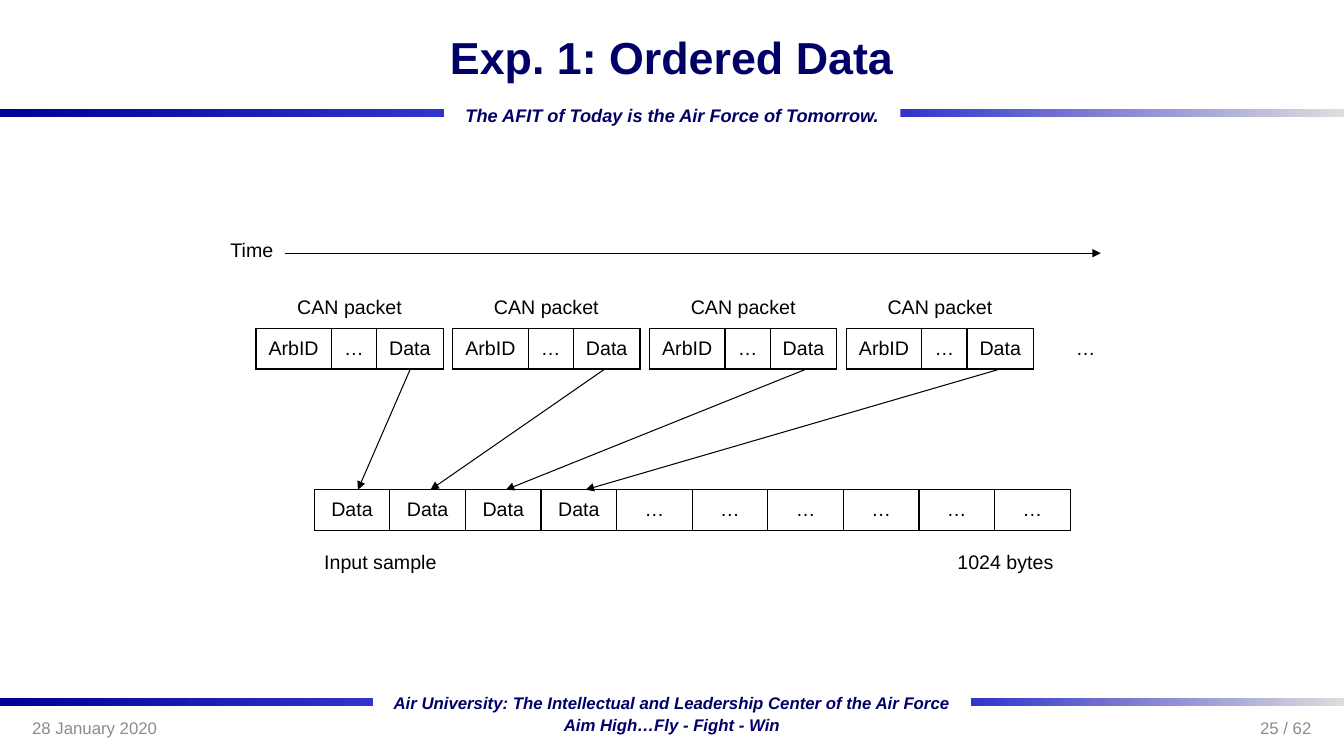
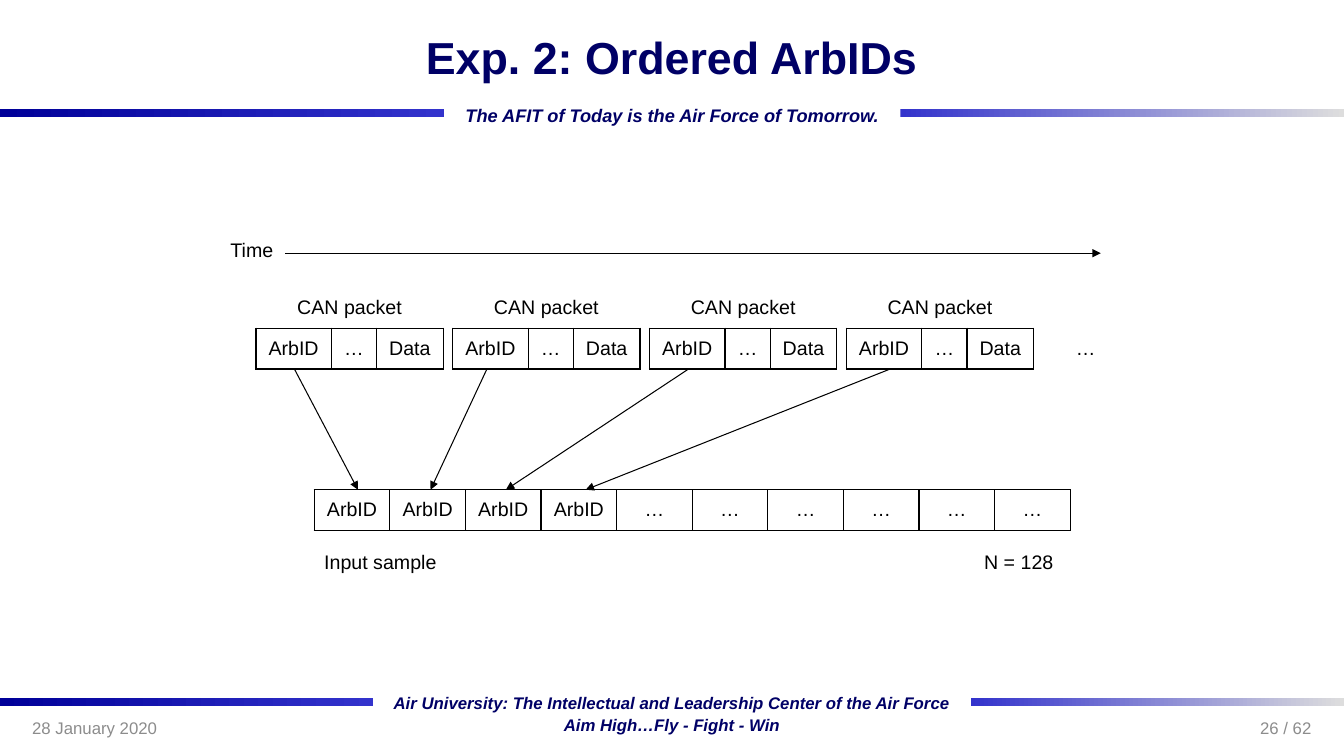
from lxml import etree
from pptx import Presentation
from pptx.dml.color import RGBColor
from pptx.enum.shapes import MSO_CONNECTOR, MSO_SHAPE
from pptx.enum.text import MSO_ANCHOR, PP_ALIGN
from pptx.oxml.ns import qn
from pptx.util import Cm, Pt

BLACK = RGBColor(0x00, 0x00, 0x00)
NAVY = RGBColor(0x00, 0x00, 0x66)
DEEP_BLUE = RGBColor(0x00, 0x00, 0x99)
BLUE = RGBColor(0x33, 0x33, 0xCC)
SILVER = RGBColor(0xDD, 0xDD, 0xDD)
GRAY = RGBColor(0x8C, 0x8C, 0x8C)

LEFT, CENTER, RIGHT = PP_ALIGN.LEFT, PP_ALIGN.CENTER, PP_ALIGN.RIGHT
TOP, MIDDLE = MSO_ANCHOR.TOP, MSO_ANCHOR.MIDDLE
RECTANGLE = MSO_SHAPE.RECTANGLE
STRAIGHT = MSO_CONNECTOR.STRAIGHT

FONT = "Arial"
SLIDE_W, SLIDE_H = 33.87, 19.05
ROW_H = 1.03
PACKET_COLS = (1.9, 1.14, 1.68)
PACKET_X, PACKET_Y, PACKET_STEP = 6.45, 7.24, 4.96
PACKET_BOTTOM = PACKET_Y + 2 * ROW_H
SAMPLE_X, SAMPLE_Y, SAMPLE_W, SAMPLE_CELLS = 7.92, 12.34, 19.05, 10
SAMPLE_ARROWS_X = (9.02, 10.85, 12.75, 14.76)


def write(tf, text, size=14, color=BLACK, bold=False, italic=False,
          align=LEFT, anchor=TOP):
    tf.word_wrap = True
    tf.vertical_anchor = anchor
    p = tf.paragraphs[0]
    p.alignment = align
    r = p.add_run()
    r.text = text
    r.font.name = FONT
    r.font.size = Pt(size)
    r.font.bold = bold
    r.font.italic = italic
    r.font.color.rgb = color


def set_borders(cell, sides):
    tcPr = cell._tc.get_or_add_tcPr()
    for side in "LRTB":
        ln = etree.SubElement(tcPr, qn(f"a:ln{side}"), w=str(Pt(1)))
        if side in sides:
            fill = etree.SubElement(ln, qn("a:solidFill"))
            etree.SubElement(fill, qn("a:srgbClr"), val=str(BLACK))
        else:
            etree.SubElement(ln, qn("a:noFill"))


class Deck:
    def __init__(self):
        self.prs = Presentation()
        self.prs.slide_width = Cm(SLIDE_W)
        self.prs.slide_height = Cm(SLIDE_H)
        self.s = None

    def add_slide(self, title, number):
        self.s = self.prs.slides.add_slide(self.prs.slide_layouts[5])
        for y, w, h in ((2.74, 11.18, 0.22), (17.6, 9.4, 0.18)):
            self.band(0, y, w, h, DEEP_BLUE, BLUE)
            self.band(SLIDE_W - w, y, w, h, BLUE, SILVER)
        self.motto("The AFIT of Today is the Air Force of Tomorrow.", 2.51, 13)
        self.motto("Air University: The Intellectual and Leadership Center "
                   "of the Air Force", 17.32, 12)
        self.motto("Aim High…Fly - Fight - Win", 17.88, 12)
        footer = dict(size=12, color=GRAY, anchor=MIDDLE)
        self.text("28 January 2020", 0.56, 17.83, 7.9, 1.02, **footer)
        self.text(number, 25.4, 17.83, 7.9, 1.02, align=RIGHT, **footer)
        sp = self.s.shapes.title
        sp.left, sp.top, sp.width, sp.height = Cm(2.54), 0, Cm(28.78), Cm(2.84)
        write(sp.text_frame, title, size=32, color=NAVY, bold=True,
              align=CENTER, anchor=MIDDLE)

    def band(self, x, y, w, h, start, end):
        sp = self.s.shapes.add_shape(RECTANGLE, Cm(x), Cm(y), Cm(w), Cm(h))
        sp.shadow.inherit = False
        sp.line.fill.background()
        sp.fill.gradient()
        sp.fill.gradient_angle = 0
        for stop, position, color in zip(sp.fill.gradient_stops, (0, 1), (start, end)):
            stop.position = position
            stop.color.rgb = color

    def text(self, text, x, y, w, h, **fmt):
        sp = self.s.shapes.add_textbox(Cm(x), Cm(y), Cm(w), Cm(h))
        write(sp.text_frame, text, **fmt)

    def motto(self, text, y, size):
        w = 15
        self.text(text, (SLIDE_W - w) / 2, y, w, 0.76, size=size, color=NAVY,
                  bold=True, italic=True, align=CENTER)

    def table(self, x, y, cols, labels, header=None, sides="LRTB"):
        rows = [labels] if header is None else [[header] + [""] * (len(cols) - 1), labels]
        frame = self.s.shapes.add_table(len(rows), len(cols), Cm(x), Cm(y),
                                        Cm(sum(cols)), Cm(ROW_H * len(rows)))
        table = frame.table
        table.first_row = table.horz_banding = False
        for column, w in zip(table.columns, cols):
            column.width = Cm(w)
        if header is not None:
            table.cell(0, 0).merge(table.cell(0, len(cols) - 1))
        for i, row in enumerate(rows):
            is_header = header is not None and i == 0
            for j, label in enumerate(row):
                cell = table.cell(i, j)
                set_borders(cell, "B" if is_header and sides else sides)
                cell.fill.background()
                cell.vertical_anchor = MIDDLE
                if label:
                    write(cell.text_frame, label, align=CENTER, anchor=MIDDLE)

    def arrow(self, x1, y1, x2, y2):
        c = self.s.shapes.add_connector(STRAIGHT, Cm(x1), Cm(y1), Cm(x2), Cm(y2))
        c.line.color.rgb = BLACK
        c.line.width = Pt(0.75)
        spPr = c.element.spPr
        etree.SubElement(spPr.find(qn("a:ln")), qn("a:tailEnd"), type="triangle")
        etree.SubElement(spPr, qn("a:effectLst"))

    def experiment(self, title, number, field, size_label, arrows_x):
        self.add_slide(title, number)
        self.table(24.89, PACKET_Y, PACKET_COLS, ["", "…", ""], header="", sides="")
        for i in range(4):
            self.table(PACKET_X + i * PACKET_STEP, PACKET_Y, PACKET_COLS,
                       ["ArbID", "…", "Data"], header="CAN packet")
        self.table(SAMPLE_X, SAMPLE_Y, [SAMPLE_W / SAMPLE_CELLS] * SAMPLE_CELLS,
                   [field] * 4 + ["…"] * 6)
        for x1, x2 in zip(arrows_x, SAMPLE_ARROWS_X):
            self.arrow(x1, PACKET_BOTTOM, x2, SAMPLE_Y)
        self.text("Time", 5.4, 5.79, 1.9, 1.02, align=CENTER, anchor=MIDDLE)
        self.arrow(7.19, 6.38, 27.74, 6.38)
        self.text("Input sample", SAMPLE_X, 13.74, 4, 0.86)
        self.text(size_label, 22.8, 13.74, 4, 0.86, align=RIGHT)


def main():
    deck = Deck()
    deck.experiment("Exp. 1: Ordered Data", "25 / 62", "Data", "1024 bytes",
                    (10.34, 15.24, 20.32, 25.2))
    deck.experiment("Exp. 2: Ordered ArbIDs", "26 / 62", "ArbID", "N = 128",
                    (7.42, 12.27, 17.35, 22.43))
    deck.prs.save("out.pptx")


if __name__ == "__main__":
    main()
